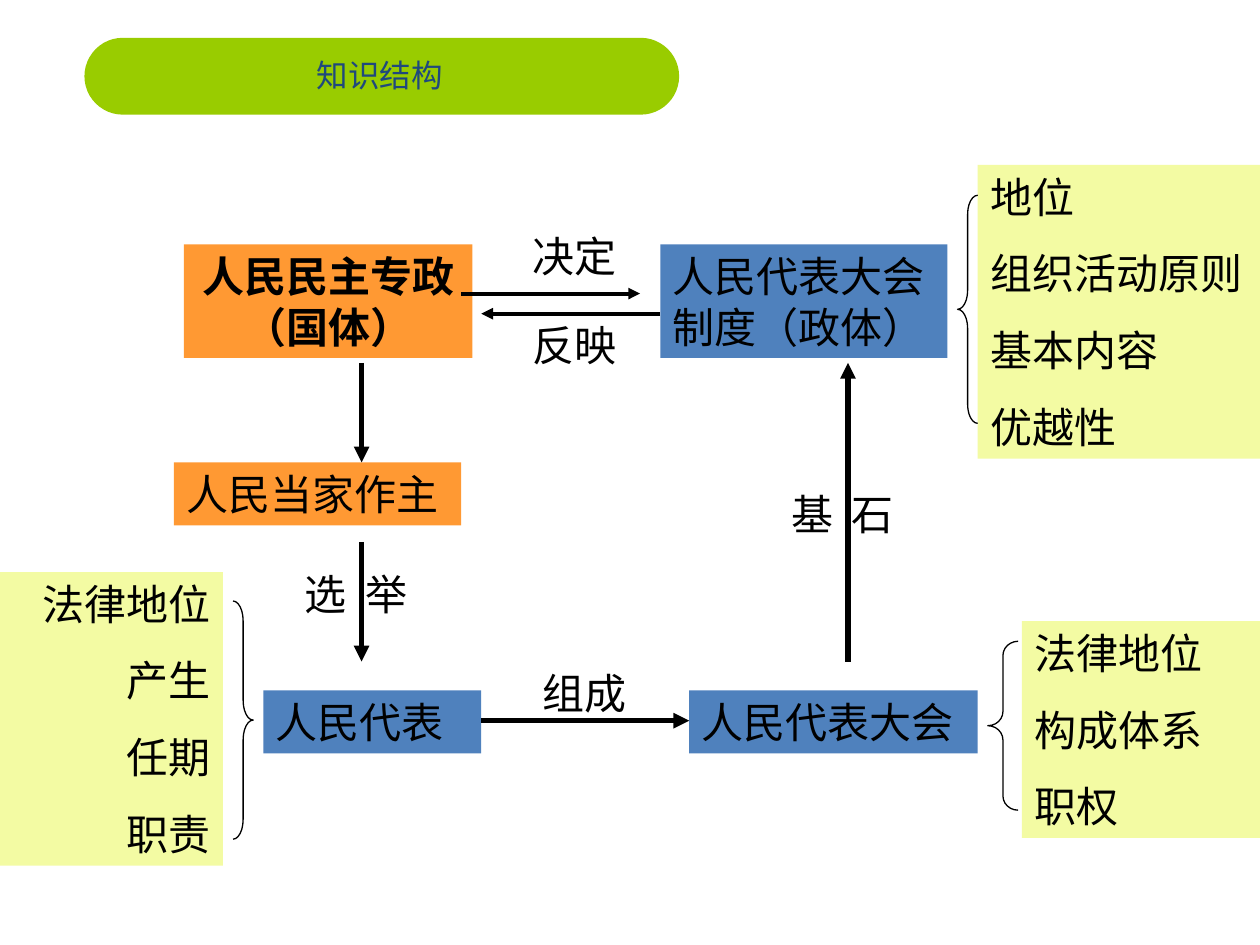
from lxml import etree
from pptx import Presentation
from pptx.dml.color import RGBColor
from pptx.enum.shapes import MSO_CONNECTOR, MSO_SHAPE
from pptx.enum.text import MSO_ANCHOR, MSO_AUTO_SIZE, PP_ALIGN
from pptx.oxml.ns import qn
from pptx.util import Inches, Pt

COLORS = {
    "black": "000000",
    "title": "1F497D",
    "green": "99CC00",
    "orange": "FF9933",
    "blue": "4F81BD",
    "yellow": "F3FBA3",
}
FONT = "Calibri"


def rgb(name):
    return RGBColor.from_string(COLORS[name])


def place(box):
    return [Inches(v) for v in box]


def write(sp, text, size=24, color="black", bold=False, align=PP_ALIGN.LEFT,
          anchor=MSO_ANCHOR.TOP, tracking=0, fit=True):
    """Write one paragraph per line of text; tracking is in points."""
    tf = sp.text_frame
    tf.word_wrap = True
    tf.vertical_anchor = anchor
    if fit:
        tf.auto_size = MSO_AUTO_SIZE.SHAPE_TO_FIT_TEXT
    for i, line in enumerate(text.split("\n")):
        p = tf.paragraphs[0] if i == 0 else tf.add_paragraph()
        p.alignment = align
        if i:
            p.space_before = Pt(15)
        p.text = line
        for r in p.runs:
            r.font.name = FONT
            r.font.size = Pt(size)
            r.font.bold = bold
            r.font.color.rgb = rgb(color)
            if tracking:
                r._r.get_or_add_rPr().set("spc", str(int(tracking * 100)))


def add_block(s, box, fill, text="", kind=MSO_SHAPE.RECTANGLE, **fmt):
    sp = s.shapes.add_shape(kind, *place(box))
    sp.shadow.inherit = False
    sp.fill.solid()
    sp.fill.fore_color.rgb = rgb(fill)
    sp.line.fill.background()
    if text:
        write(sp, text, **fmt)
    return sp


def add_label(s, box, text, **fmt):
    write(s.shapes.add_textbox(*place(box)), text, **fmt)


def add_arrow(s, x1, y1, x2, y2, width=3):
    c = s.shapes.add_connector(MSO_CONNECTOR.STRAIGHT, *place((x1, y1, x2, y2)))
    c.line.color.rgb = rgb("black")
    c.line.width = Pt(width)
    etree.SubElement(c.line._get_or_add_ln(), qn("a:tailEnd"), type="triangle")
    etree.SubElement(c._element.spPr, qn("a:effectLst"))


def add_brace(s, kind, box, curve):
    sp = s.shapes.add_shape(kind, *place(box))
    sp.shadow.inherit = False
    sp.adjustments[0] = curve
    sp.adjustments[1] = 0.5
    sp.fill.background()
    sp.line.color.rgb = rgb("black")
    sp.line.width = Pt(0.75)


def add_title(s):
    pill = add_block(s, (0.67, 0.3, 4.72, 0.61), "green",
                     kind=MSO_SHAPE.ROUNDED_RECTANGLE)
    pill.adjustments[0] = 0.5
    add_label(s, (1.15, 0.28, 3.73, 0.63), "知识结构", size=18, color="title",
              align=PP_ALIGN.CENTER, anchor=MSO_ANCHOR.MIDDLE, fit=False)


def add_concepts(s):
    add_block(s, (1.46, 1.94, 2.29, 0.9), "orange", "人民民主专政\v（国体）",
              bold=True, align=PP_ALIGN.CENTER)
    for box, fill, text in [
        ((5.24, 1.94, 2.28, 0.9), "blue", "人民代表大会制度（政体）"),
        ((1.38, 3.67, 2.28, 0.5), "orange", "人民当家作主"),
        ((2.09, 5.48, 1.73, 0.5), "blue", "人民代表"),
        ((5.47, 5.48, 2.29, 0.5), "blue", "人民代表大会"),
    ]:
        add_block(s, box, fill, text)


def add_relations(s):
    for ends in [(2.87, 2.88, 2.87, 3.67), (2.87, 4.3, 2.87, 5.25),
                 (3.82, 5.72, 5.47, 5.72), (6.73, 5.25, 6.73, 2.88)]:
        add_arrow(s, *ends)
    add_arrow(s, 3.66, 2.33, 5.08, 2.33, width=2.25)
    add_arrow(s, 5.24, 2.49, 3.82, 2.49, width=2.25)

    for x, y, text in [(4.21, 5.25, "组成"), (4.13, 1.78, "决定"),
                       (4.13, 2.49, "反映")]:
        add_label(s, (x, y, 1.02, 0.5), text)
    # These two labels open up around the arrow between their characters
    for x, y, text in [(2.32, 4.46, "选 举"), (6.18, 3.83, "基 石")]:
        add_label(s, (x, y, 1.1, 0.5), text, tracking=2.7)


def add_details(s):
    add_block(s, (0, 4.54, 1.77, 2.33), "yellow", "法律地位\n产生\n任期\n职责",
              align=PP_ALIGN.RIGHT)
    add_block(s, (7.76, 1.31, 2.24, 2.33), "yellow",
              "地位\n组织活动原则\n基本内容\n优越性")
    add_block(s, (8.11, 4.93, 1.89, 1.72), "yellow", "法律地位\n构成体系\n职权")
    add_brace(s, MSO_SHAPE.RIGHT_BRACE, (1.85, 4.77, 0.16, 1.89), 0.98)
    add_brace(s, MSO_SHAPE.LEFT_BRACE, (7.84, 5.09, 0.24, 1.34), 0.47)
    add_brace(s, MSO_SHAPE.LEFT_BRACE, (7.6, 1.55, 0.16, 1.81), 0.94)


def main():
    prs = Presentation()
    prs.slide_width, prs.slide_height = Inches(10), Inches(7.5)
    s = prs.slides.add_slide(prs.slide_layouts[6])
    add_title(s)
    add_concepts(s)
    add_relations(s)
    add_details(s)
    prs.save("out.pptx")


if __name__ == "__main__":
    main()
